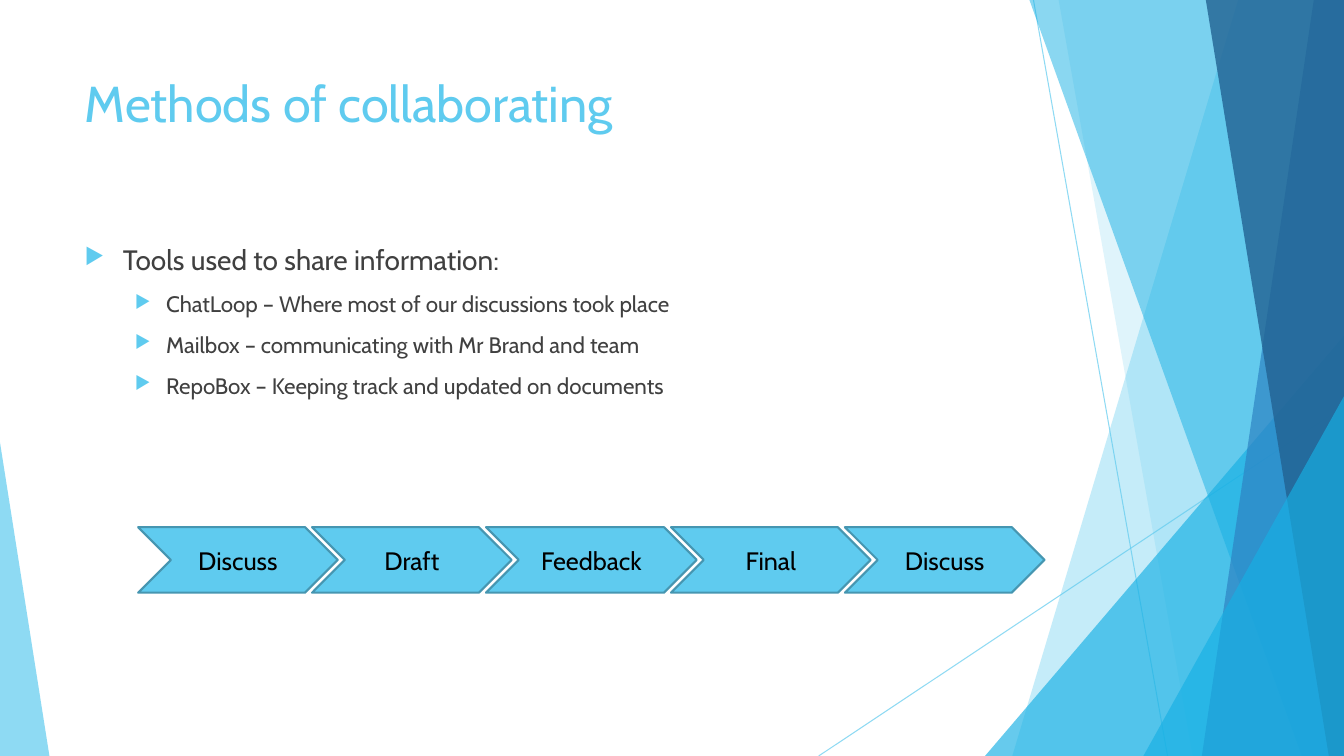
from pptx import Presentation
from pptx import util as u
from pptx.dml.color import RGBColor
from pptx.enum import shapes, text
from pptx.oxml.ns import qn
from lxml import etree

WIDE, HIGH = 13.33, 7.5
TITLE = "Methods of collaborating"
POINTS = [
    (0, "Tools used to share information:"),
    (1, "ChatLoop – Where most of our discussions took place"),
    (1, "Mailbox – communicating with Mr Brand and team"),
    (1, "RepoBox – Keeping track and updated on documents"),
]
STEPS = [("Discuss", 1.98), ("Draft", 1.98), ("Feedback", 2.09),
         ("Final", 1.98), ("Discuss", 1.98)]
THEME = {
    "font": "Cabin", "sky": "5FCBEF", "cyan": "17B0E4", "blue": "2E83C3",
    "navy": "226292", "edge": "4696B1", "body": "404040", "black": "000000",
    "title": 36, "levels": [20, 16], "step": 18,
}
INDENTS = [(0.38, -0.38), (0.81, -0.31)]
RAYS = [((10.25, 0), (11.58, HIGH)), ((WIDE, 4.03), (8.12, HIGH))]
# kind, geometry, colour, opacity
FACETS = [
    ("band", (12.28, 10.04), "sky", 36),
    ("band", (10.5, 11.83), "sky", 20),
    ("peak", (9.77, 3.33, 3.56, 1), "cyan", 66),
    ("band", (10.21, 12.91), "cyan", 50),
    ("band", (13.03, 11.92), "blue", 70),
    ("band", (11.96, 13.18), "navy", 80),
    ("peak", (11.34, 3.93, 1.99, 1), "cyan", 66),
    ("peak", (0, 4.39, 0.49, 0), "sky", 70),
]


def tint(name):
    return RGBColor.from_string(THEME[name])


def fade(fill, part):
    tag = next(fill.iter(qn("a:srgbClr")))
    etree.SubElement(tag, qn("a:alpha"), val=str(part * 1000))


def write(para, words, size, color):
    run = para.add_run()
    run.text = words
    run.font.name = THEME["font"]
    run.font.size = u.Pt(size)
    run.font.color.rgb = tint(color)


def draw_rays(slide):
    for start, end in RAYS:
        ray = slide.shapes.add_connector(
            shapes.MSO_CONNECTOR.STRAIGHT, *map(u.Inches, start + end))
        ray.line.color.rgb = tint("sky")
        ray.line.width = u.Pt(0.75)
        props = ray.element.spPr
        fade(props, 70)
        etree.SubElement(props, qn("a:effectLst"))


def draw_facets(slide):
    for kind, geom, color, part in FACETS:
        if kind == "band":
            top, foot = geom
            pen = slide.shapes.build_freeform(u.Inches(top), 0, 1)
            corners = [(WIDE, 0), (WIDE, HIGH), (foot, HIGH)]
            pen.add_line_segments(
                [(u.Inches(x), u.Inches(y)) for x, y in corners], close=True)
            facet = pen.convert_to_shape()
        else:
            left, top, width, apex = geom
            facet = slide.shapes.add_shape(
                shapes.MSO_SHAPE.ISOSCELES_TRIANGLE,
                *map(u.Inches, (left, top, width, HIGH - top)))
            facet.adjustments[0] = apex
        facet.shadow.inherit = False
        facet.fill.solid()
        facet.fill.fore_color.rgb = tint(color)
        facet.line.fill.background()
        fade(facet.element.spPr, part)


def set_title(slide):
    title = slide.shapes.title
    title.left, title.top, title.width, title.height = map(
        u.Inches, (0.74, 0.67, 9.4, 1.44))
    frame = title.text_frame
    frame.vertical_anchor = text.MSO_ANCHOR.TOP
    para = frame.paragraphs[0]
    para.alignment = text.PP_ALIGN.LEFT
    write(para, TITLE, THEME["title"], "sky")


def add_bullet(para, level):
    left, hang = INDENTS[level]
    props = para._p.get_or_add_pPr()
    props.set("marL", str(u.Inches(left)))
    props.set("indent", str(u.Inches(hang)))
    color = etree.SubElement(props, qn("a:buClr"))
    etree.SubElement(color, qn("a:srgbClr"), val=THEME["sky"])
    etree.SubElement(props, qn("a:buSzPct"), val="80000")
    etree.SubElement(props, qn("a:buChar"), char="▶")


def add_points(slide):
    box = slide.shapes.add_textbox(*map(u.Inches, (0.74, 2.36, 9.4, 2)))
    frame = box.text_frame
    frame.word_wrap = True
    for i, (level, words) in enumerate(POINTS):
        para = frame.add_paragraph() if i else frame.paragraphs[0]
        para.level = level
        para.space_before = u.Pt(10)
        add_bullet(para, level)
        write(para, words, THEME["levels"][level], "body")


def add_steps(slide):
    left, lap = 1.37, 0.255
    for words, width in STEPS:
        step = slide.shapes.add_shape(
            shapes.MSO_SHAPE.CHEVRON, *map(u.Inches, (left, 5.23, width, 0.65)))
        step.shadow.inherit = False
        step.fill.solid()
        step.fill.fore_color.rgb = tint("sky")
        step.line.color.rgb = tint("edge")
        step.line.width = u.Pt(1.5)
        frame = step.text_frame
        frame.margin_left = frame.margin_right = 0
        frame.vertical_anchor = text.MSO_ANCHOR.MIDDLE
        para = frame.paragraphs[0]
        para.alignment = text.PP_ALIGN.CENTER
        write(para, words, THEME["step"], "black")
        left += width - lap


def main():
    """Build the collaboration methods slide."""
    deck = Presentation()
    deck.slide_width, deck.slide_height = u.Inches(WIDE), u.Inches(HIGH)
    slide = deck.slides.add_slide(deck.slide_layouts[5])
    draw_rays(slide)
    draw_facets(slide)
    set_title(slide)
    add_points(slide)
    add_steps(slide)
    deck.save("out.pptx")


if __name__ == "__main__":
    main()
